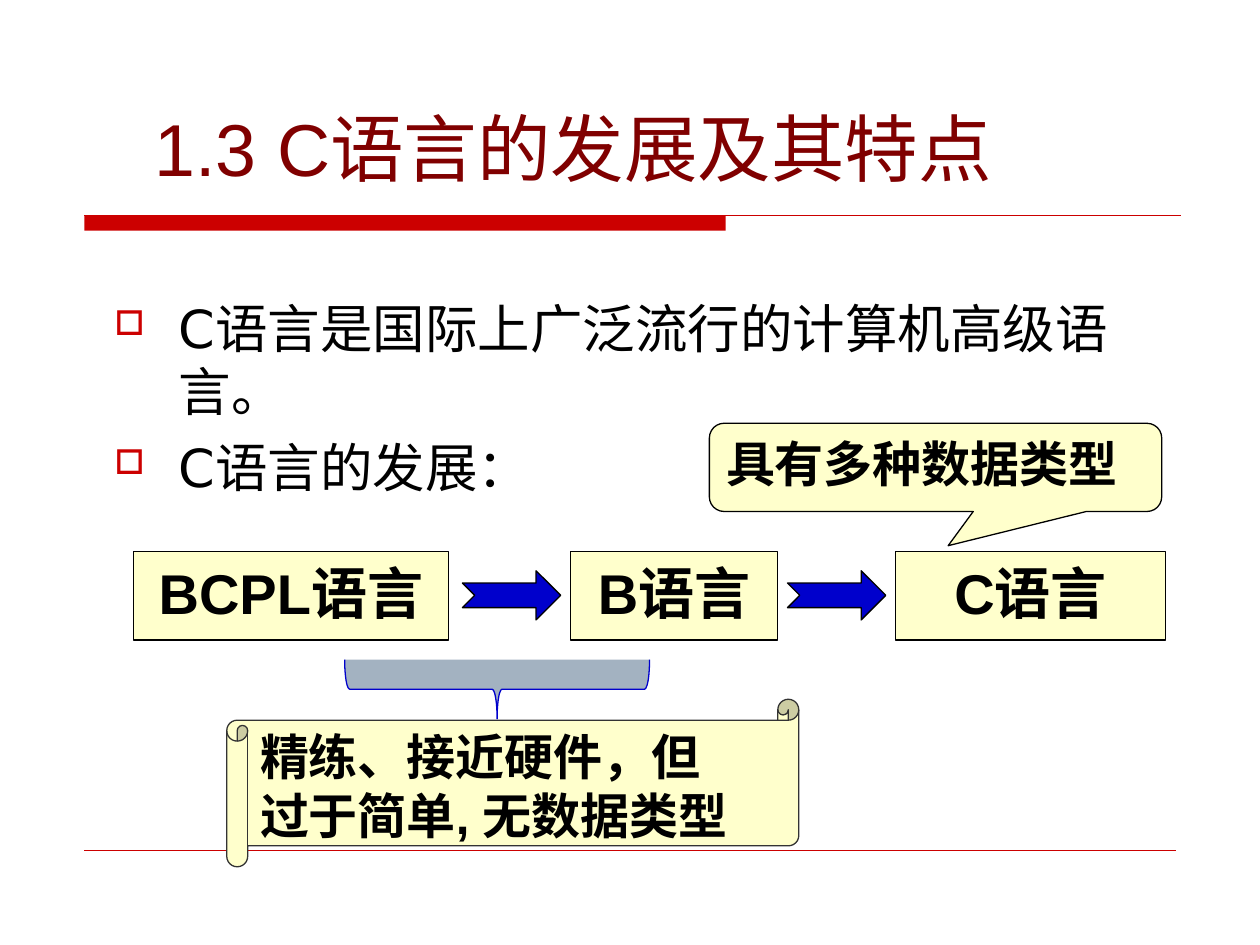
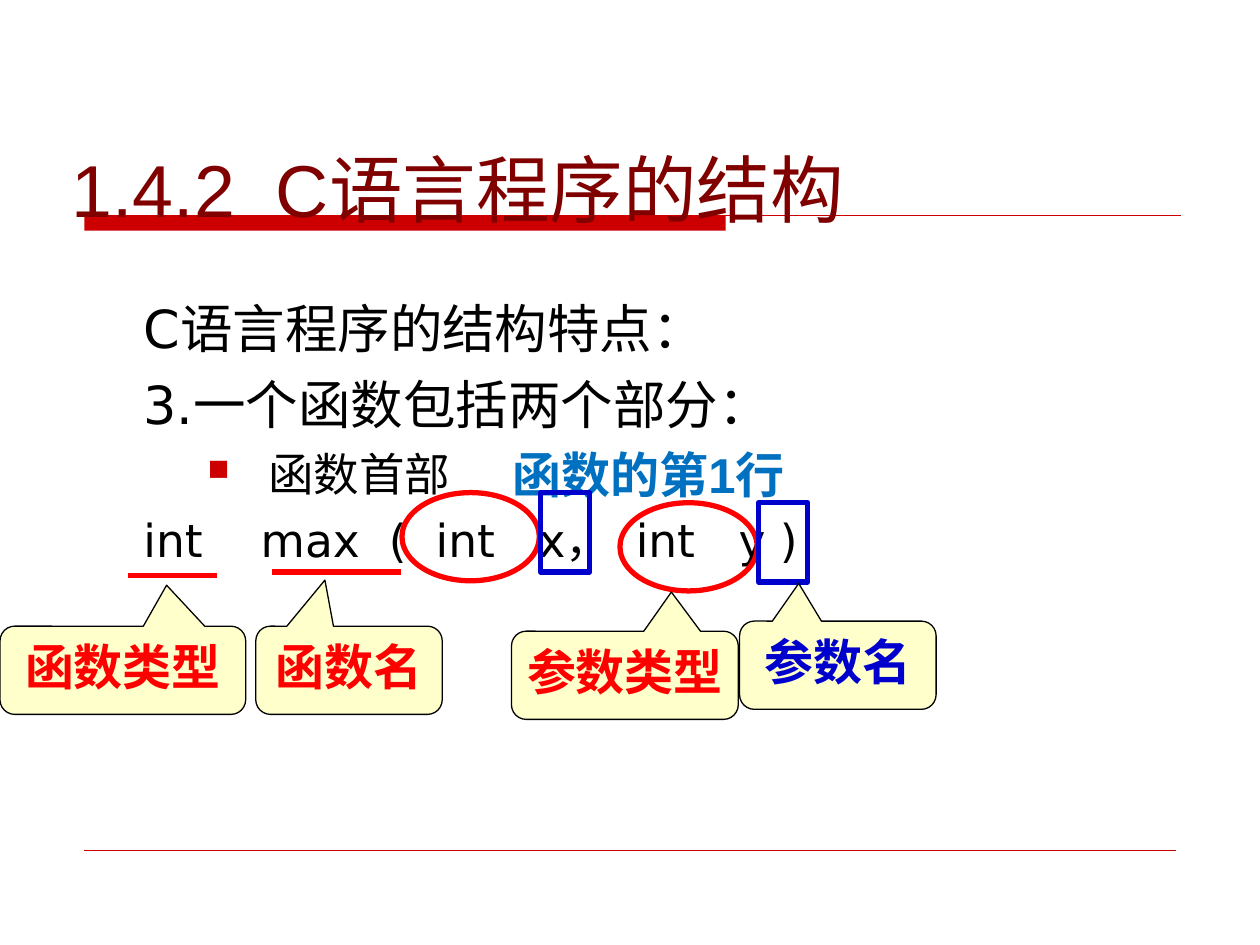
import lxml.etree
import pptx
import pptx.dml.color
import pptx.enum.shapes
import pptx.enum.text
import pptx.oxml.ns
import pptx.util

Inches = pptx.util.Inches
Pt = pptx.util.Pt
SHAPE = pptx.enum.shapes.MSO_SHAPE
ALIGN = pptx.enum.text.PP_ALIGN
ANCHOR = pptx.enum.text.MSO_ANCHOR

RED, BRIGHT_RED, MAROON = "CC0000", "FF0000", "800000"
BLUE, SKY, SLATE = "0000CC", "0070C0", "A3B2C1"
CREAM, BLACK, GRAY = "FFFFCC", "000000", "333333"

TITLE_FONT = {"name": "Arial", "size": Pt(42)}
BODY_FONT = {"name": "DejaVu Sans", "size": Pt(30)}
SMALL_BODY_FONT = {"name": "DejaVu Sans", "size": Pt(26)}
LABEL_FONT = {"name": "Arial", "size": Pt(28), "bold": True}
STEP_FONT = {"name": "Arial", "size": Pt(32), "bold": True}


def color(hex_value):
    """Turn a hex string into a colour."""
    return pptx.dml.color.RGBColor.from_string(hex_value)


def apply_format(target, values):
    """Set attributes from a dict of format values."""
    for name, value in values.items():
        setattr(target, name, value)


def add_tag(parent, tag, **attributes):
    """Append a drawing element to its parent."""
    return lxml.etree.SubElement(parent, pptx.oxml.ns.qn(tag), attributes)


def add_run(paragraph, text, font, text_color):
    """Add formatted text to a paragraph and return its run."""
    run = paragraph.add_run()
    run.text = text
    apply_format(run.font, font)
    run.font.color.rgb = color(text_color)
    return run


def add_spaced_words(paragraph, words, font, text_color):
    """Add words, each followed by one space widened by some points."""
    for word, extra in words:
        add_run(paragraph, word, font, text_color)
        space = add_run(paragraph, " ", font, text_color)
        space._r.get_or_add_rPr().set("spc", str(round(extra * 100)))


def add_bullet(paragraph, character):
    """Give a paragraph a small red bullet."""
    properties = paragraph._p.get_or_add_pPr()
    add_tag(add_tag(properties, "a:buClr"), "a:srgbClr", val=RED)
    add_tag(properties, "a:buSzPct", val="65000")
    add_tag(properties, "a:buChar", char=character)


def add_text_box(slide, box, anchor=ANCHOR.TOP):
    """Add a wrapping text box and return its text frame."""
    frame = slide.shapes.add_textbox(*map(Inches, box)).text_frame
    apply_format(frame, {"word_wrap": True, "vertical_anchor": anchor})
    return frame


def add_shape(slide, kind, box, fill=None, line=BLACK, width=0.75, adjustments=()):
    """Add a flat preset shape."""
    shape = slide.shapes.add_shape(kind, *map(Inches, box))
    shape.shadow.inherit = False
    if fill:
        shape.fill.solid()
        shape.fill.fore_color.rgb = color(fill)
    else:
        shape.fill.background()
    if line:
        shape.line.color.rgb = color(line)
        shape.line.width = Pt(width)
    else:
        shape.line.fill.background()
    for index, value in enumerate(adjustments):
        shape.adjustments[index] = value
    return shape


def add_label(shape, lines, font=LABEL_FONT, text_color=BLACK, align=ALIGN.CENTER):
    """Write unwrapped lines of text in a shape."""
    frame = shape.text_frame
    apply_format(frame, {"word_wrap": False, "vertical_anchor": ANCHOR.TOP})
    for index, line in enumerate(lines):
        paragraph = frame.add_paragraph() if index else frame.paragraphs[0]
        paragraph.alignment = align
        add_run(paragraph, line, font, text_color)


def add_callout(slide, box, text, tip, text_color, align=ALIGN.CENTER):
    """Add a rounded callout whose tip points at its subject."""
    callout = add_shape(slide, SHAPE.ROUNDED_RECTANGULAR_CALLOUT, box, CREAM,
                        adjustments=(*tip, 0.167))
    add_label(callout, [text], text_color=text_color, align=align)


def add_rule(slide, left, top, width, line, weight):
    """Draw a horizontal line."""
    rule = slide.shapes.add_connector(
        pptx.enum.shapes.MSO_CONNECTOR.STRAIGHT,
        *map(Inches, (left, top, left + width, top)))
    rule.line.color.rgb = color(line)
    rule.line.width = Pt(weight)
    add_tag(rule._element.spPr, "a:effectLst")


def add_base_slide(presentation, title_words, title, title_box):
    """Add a slide with the shared band, rules and title."""
    slide = presentation.slides.add_slide(presentation.slide_layouts[6])
    add_shape(slide, SHAPE.RECTANGLE, (0.67, 1.71, 5.09, 0.12), RED, None)
    add_rule(slide, 0.67, 1.71, 8.7, RED, 1)
    add_rule(slide, 0.67, 6.75, 8.66, RED, 0.25)
    paragraph = add_text_box(slide, title_box, ANCHOR.BOTTOM).paragraphs[0]
    add_spaced_words(paragraph, title_words, TITLE_FONT, MAROON)
    add_run(paragraph, title, TITLE_FONT, MAROON)
    return slide


def add_body(slide, box, items):
    """Write body paragraphs of text, font, left, indent and bullet."""
    frame = add_text_box(slide, box)
    for index, (text, font, left, indent, bullet) in enumerate(items):
        paragraph = frame.add_paragraph() if index else frame.paragraphs[0]
        properties = paragraph._p.get_or_add_pPr()
        properties.set("marL", str(Inches(left)))
        properties.set("indent", str(Inches(indent)))
        if bullet:
            add_bullet(paragraph, bullet)
        if index:
            paragraph.space_before = font["size"] // 4
        add_run(paragraph, text, font, BLACK)
    return frame


def add_language_flow(slide, left, top):
    """Draw the chain of languages joined by arrows."""
    steps = [("BCPL语言", 0, 2.5), ("B语言", 3.47, 1.64), ("C语言", 6.05, 2.14)]
    for text, offset, width in steps:
        step = add_shape(slide, SHAPE.FLOWCHART_PROCESS,
                         (left + offset, top, width, 0.7), CREAM)
        add_label(step, [text], STEP_FONT)
    for _, offset, _ in steps[1:]:
        add_shape(slide, SHAPE.NOTCHED_RIGHT_ARROW,
                  (left + offset - 0.86, top + 0.15, 0.78, 0.39), BLUE,
                  adjustments=(0.5, 0.5))


def add_early_languages_note(slide, left, top):
    """Draw the brace and the scroll below the first two languages."""
    brace = add_shape(slide, SHAPE.RIGHT_BRACE, (left + 1.91, top - 0.97, 0.47, 2.42),
                      SLATE, BLUE, adjustments=(0.083, 0.5))
    brace.rotation = 90
    scroll = add_shape(slide, SHAPE.HORIZONTAL_SCROLL, (left, top + 0.32, 4.54, 1.33),
                       CREAM, GRAY, adjustments=(0.125,))
    add_label(scroll, ["精练、接近硬件，但", "过于简单, 无数据类型"], align=ALIGN.LEFT)


def add_history_slide(presentation):
    """Build the slide on the development of C."""
    slide = add_base_slide(presentation, [("1.3", 0)], "C语言的发展及其特点",
                           (1.13, 0.77, 8.13, 0.8))
    texts = ["C语言是国际上广泛流行的计算机高级语言。", "C语言的发展："]
    add_body(slide, (0.81, 2.3, 8.19, 2.22),
             [(text, BODY_FONT, 0.51, -0.51, "□") for text in texts])
    add_language_flow(slide, 1.06, 4.38)
    add_early_languages_note(slide, 1.8, 5.23)
    add_callout(slide, (5.63, 3.36, 3.59, 0.7), "具有多种数据类型",
                (0.028, 0.888), BLACK, ALIGN.LEFT)


def add_function_header(frame):
    """Write the function header, its gaps widened under the marks."""
    paragraph = frame.add_paragraph()
    paragraph.space_before = SMALL_BODY_FONT["size"] // 4
    words = [("int", 24.8), ("max", 8.27), ("(", 8.27), ("int", 16.53),
             ("x，", 8.27), ("int", 16.53), ("y", 0)]
    add_spaced_words(paragraph, words, SMALL_BODY_FONT, BLACK)
    add_run(paragraph, ")", SMALL_BODY_FONT, BLACK)


def add_header_marks(slide, left, top):
    """Mark and name the parts of the function header."""
    for offset, drop, width in [(1.02, 0.66, 0.7), (2.16, 0.63, 1.02)]:
        add_rule(slide, left + offset, top + drop, width, BRIGHT_RED, 3)
    for offset, drop in [(3.19, 0), (4.92, 0.08)]:
        add_shape(slide, SHAPE.FLOWCHART_CONNECTOR,
                  (left + offset, top + drop, 1.09, 0.7), line=BRIGHT_RED, width=3)
        add_shape(slide, SHAPE.RECTANGLE,
                  (left + offset + 1.1, top + drop, 0.39, 0.63), line=BLUE, width=3)
    callouts = [
        ("函数类型", 0, 1.06, 1.95, (0.178, -0.965), BRIGHT_RED),
        ("函数名", 2.03, 1.06, 1.48, (-0.129, -1.023), BRIGHT_RED),
        ("参数类型", 4.06, 1.1, 1.8, (0.205, -0.944), BRIGHT_RED),
        ("参数名", 5.87, 1.02, 1.56, (-0.199, -0.927), BLUE),
    ]
    for text, offset, drop, width, tip, text_color in callouts:
        add_callout(slide, (left + offset, top + drop, width, 0.7), text, tip, text_color)


def add_structure_slide(presentation):
    """Build the slide on the structure of a C program."""
    slide = add_base_slide(presentation, [("1.4.2", 11.67)], "C语言程序的结构",
                           (0.47, 1.09, 9.22, 0.8))
    frame = add_body(slide, (1.04, 2.3, 8.13, 2.89), [
        ("C语言程序的结构特点：", BODY_FONT, 0, 0, None),
        ("3.一个函数包括两个部分：", BODY_FONT, 0, 0, None),
        ("函数首部", SMALL_BODY_FONT, 0.99, -0.48, "■"),
    ])
    add_function_header(frame)
    paragraph = add_text_box(slide, (3.97, 3.48, 2.81, 0.57)).paragraphs[0]
    add_run(paragraph, "函数的第1行", LABEL_FONT, SKY)
    add_header_marks(slide, 0, 3.91)


def main():
    """Build and save the presentation."""
    presentation = pptx.Presentation()
    apply_format(presentation, {"slide_width": Inches(10), "slide_height": Inches(7.5)})
    add_history_slide(presentation)
    add_structure_slide(presentation)
    presentation.save("out.pptx")


if __name__ == "__main__":
    main()
